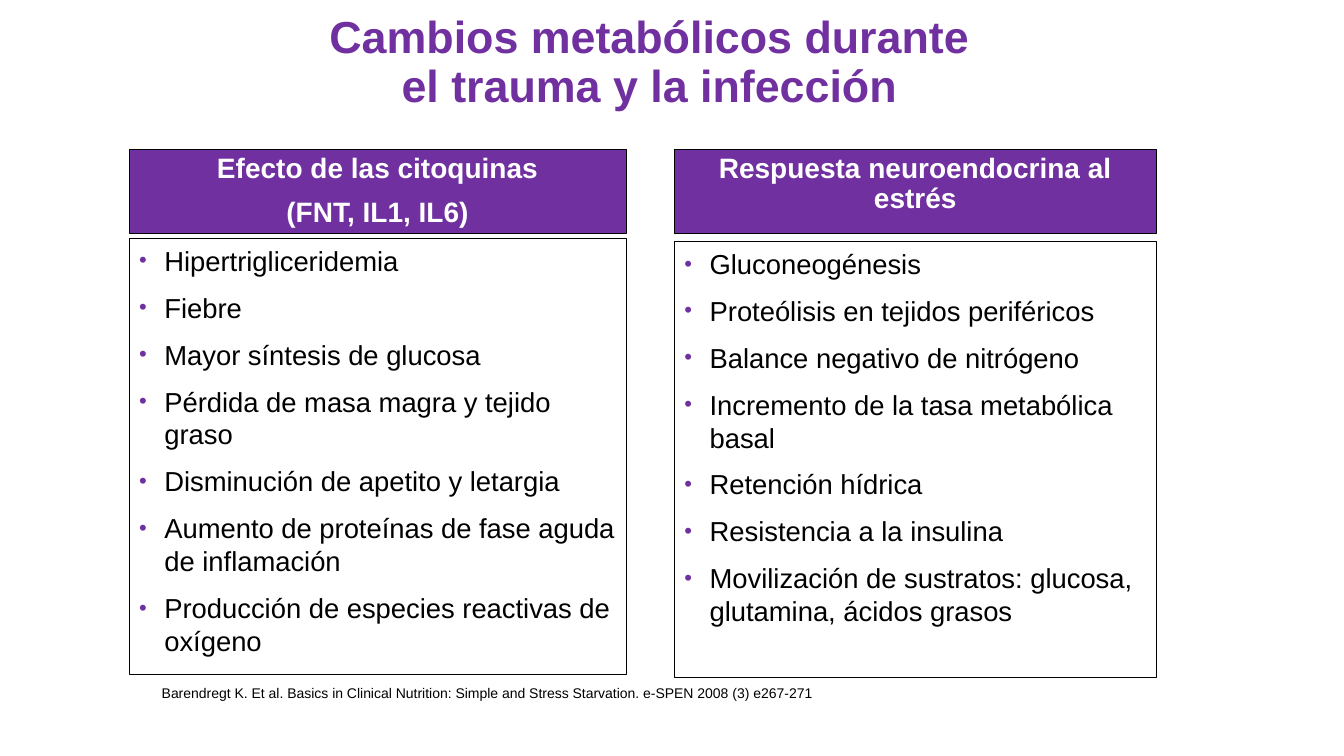
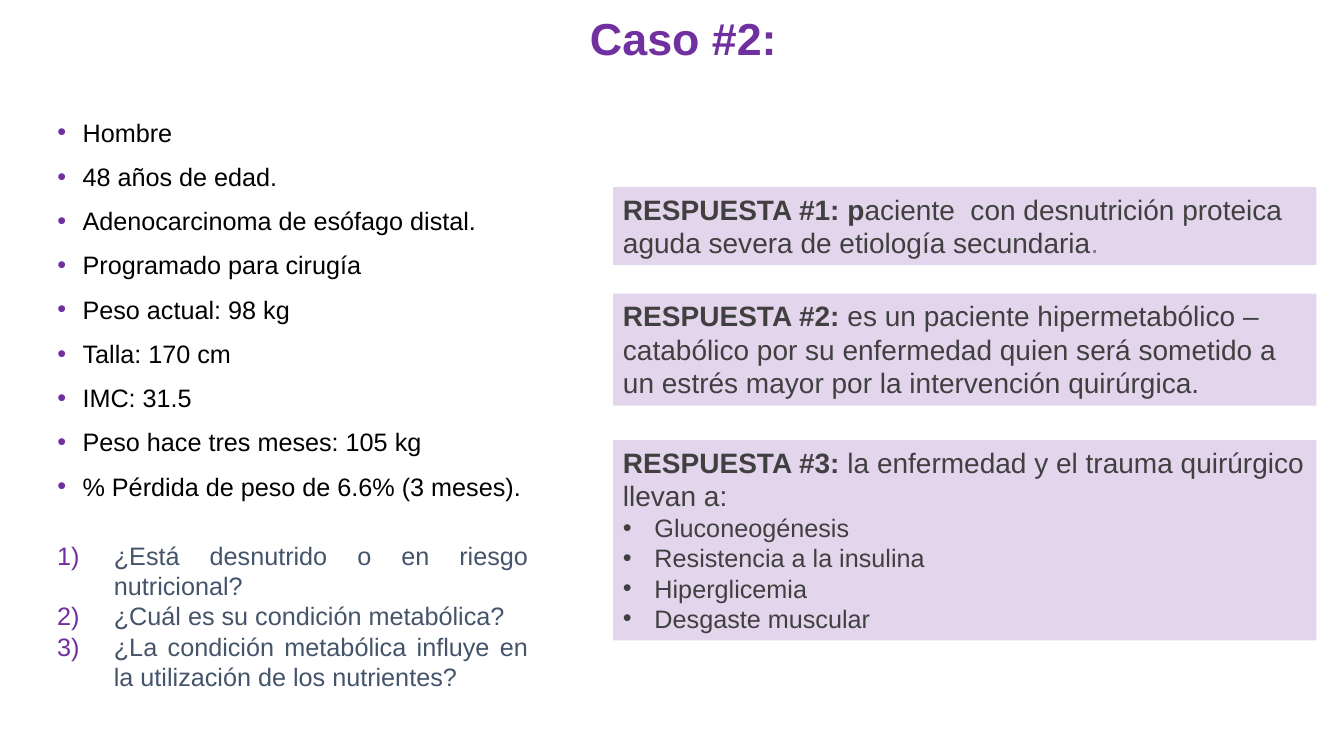
from dataclasses import dataclass

from pptx import Presentation
from pptx.dml.color import RGBColor as Rgb
from pptx.enum import shapes, text
from pptx.oxml import ns, xmlchemy as xc
from pptx.util import Pt

ALIGN = text.PP_ALIGN


@dataclass(frozen=True)
class Theme:
    font: str = "Arial"
    main: str = "7030A0"
    ink: str = "000000"
    paper: str = "FFFFFF"
    dark: str = "404040"
    gray: str = "808080"
    slate: str = "44546A"
    title: float = 32
    head: float = 20
    body: float = 19.6
    small: float = 18
    note: float = 10
    gap: float = 10
    tight: float = 0.9
    edge: float = 0.75
    alpha: int = 20


class Deck:
    """Holds the theme and the current slide."""

    def __init__(self, theme):
        self.theme = theme
        self.file = Presentation()
        self.file.slide_width, self.file.slide_height = Pt(960), Pt(540)
        self.slide = None

    # Basic parts
    def page(self, layout, title, box):
        self.slide = self.file.slides.add_slide(self.file.slide_layouts[layout])
        t = self.theme
        frame = self.frame(self.place(self.slide.shapes.title, box))
        self.para(frame, [(title, t.main, True)], t.title, ALIGN.CENTER, t.tight)

    def place(self, shape, box):
        shape.left, shape.top, shape.width, shape.height = map(Pt, box)
        return shape

    def frame(self, shape):
        frame = shape.text_frame
        frame.word_wrap = True
        frame.auto_size = text.MSO_AUTO_SIZE.NONE
        frame.vertical_anchor = text.MSO_ANCHOR.TOP
        return frame

    def para(self, frame, runs, size, align=ALIGN.LEFT, lead=1.0, gap=0):
        """Add one paragraph; each run is (words, colour, bold)."""
        first = not frame.paragraphs[0].runs
        para = frame.paragraphs[0] if first else frame.add_paragraph()
        para.alignment = align
        para.line_spacing = lead
        para.space_before = Pt(0 if first else gap)
        for words, color, bold in runs:
            run = para.add_run()
            run.text = words
            font = run.font
            font.name, font.size, font.bold = self.theme.font, Pt(size), bold
            font.color.rgb = Rgb.from_string(color)
        return para

    def mark(self, para, indent, color, scale=100, number=False):
        """Give a paragraph a hanging bullet or number."""
        props = para._p.get_or_add_pPr()
        props.set("marL", str(Pt(indent)))
        props.set("indent", str(-Pt(indent)))

        def add(tag, parent=props, **attrs):
            item = xc.OxmlElement(tag)
            for name, value in attrs.items():
                item.set(name, value)
            parent.append(item)
            return item

        add("a:srgbClr", add("a:buClr"), val=color)
        add("a:buSzPct", val=str(scale * 1000))
        add("a:buFont", typeface=self.theme.font)
        if number:
            add("a:buAutoNum", type="arabicParenR")
        else:
            add("a:buChar", char="•")

    def border(self, shape):
        shape.line.color.rgb = Rgb.from_string(self.theme.ink)
        shape.line.width = Pt(self.theme.edge)

    # Slide elements
    def header(self, slot, box, lines):
        t = self.theme
        shape = self.place(self.slide.placeholders[slot], box)
        shape.fill.solid()
        shape.fill.fore_color.rgb = Rgb.from_string(t.main)
        self.border(shape)
        frame = self.frame(shape)
        for line in lines:
            self.para(frame, [(line, t.paper, True)], t.head, ALIGN.CENTER, t.tight, t.gap)

    def bullets(self, slot, box, items, size, scale=100, edge=False):
        t = self.theme
        shape = self.place(self.slide.placeholders[slot], box)
        if edge:
            self.border(shape)
        frame = self.frame(shape)
        for item in items:
            para = self.para(frame, [(item, t.ink, False)], size, gap=t.gap)
            self.mark(para, 18, t.main, scale)

    def asks(self, box, items):
        t = self.theme
        frame = self.frame(self.slide.shapes.add_textbox(*map(Pt, box)))
        for item in items:
            para = self.para(frame, [(item, t.slate, False)], t.small, ALIGN.JUSTIFY)
            self.mark(para, 40.5, t.main, number=True)

    def note(self, box, words):
        t = self.theme
        frame = self.frame(self.slide.shapes.add_textbox(*map(Pt, box)))
        self.para(frame, [(words, t.ink, False)], t.note, ALIGN.CENTER)

    def answer(self, box, runs, items=()):
        t = self.theme
        shape = self.slide.shapes.add_shape(shapes.MSO_SHAPE.RECTANGLE, *map(Pt, box))
        shape.shadow.inherit = False
        shape.line.fill.background()
        shape.fill.solid()
        shape.fill.fore_color.rgb = Rgb.from_string(t.main)
        alpha = xc.OxmlElement("a:alpha")
        alpha.set("val", str(t.alpha * 1000))
        next(shape.element.spPr.iter(ns.qn("a:srgbClr"))).append(alpha)
        frame = self.frame(shape)
        self.para(frame, runs, t.head)
        for item in items:
            para = self.para(frame, [(item, t.dark, False)], t.small)
            self.mark(para, 22.5, t.dark)


def main():
    t = Theme()
    deck = Deck(t)

    # Slide 1: two columns, each a header over a list
    deck.page(4, "Cambios metabólicos durante el trauma y la infección",
              (214.5, 7.2, 499, 107.3))
    columns = [
        (92.2, 355, 170.6, ["Efecto de las citoquinas", "(FNT, IL1, IL6)"], [
            "Hipertrigliceridemia",
            "Fiebre",
            "Mayor síntesis de glucosa",
            "Pérdida de masa magra y tejido graso",
            "Disminución de apetito y letargia",
            "Aumento de proteínas de fase aguda de inflamación",
            "Producción de especies reactivas de oxígeno"]),
        (481.7, 344.2, 172.8, ["Respuesta neuroendocrina al estrés"], [
            "Gluconeogénesis",
            "Proteólisis en tejidos periféricos",
            "Balance negativo de nitrógeno",
            "Incremento de la tasa metabólica basal",
            "Retención hídrica",
            "Resistencia a la insulina",
            "Movilización de sustratos: glucosa, glutamina, ácidos grasos"]),
    ]
    for i, (left, width, top, lines, items) in enumerate(columns):
        deck.header(2 * i + 1, (left, 106.5, width, 60.5), lines)
        deck.bullets(2 * i + 2, (left, top, width, 311), items, t.body, 80, True)
    deck.note((78.5, 485.3, 538.5, 19.4),
              "Barendregt K. Et al. Basics in Clinical Nutrition: "
              "Simple and Stress Starvation. e-SPEN 2008 (3) e267-271")

    # Slide 2: case data and questions
    deck.page(1, "Caso #2:", (16.6, 8.6, 943.2, 46))
    deck.bullets(1, (33.8, 80, 364.3, 292.3), [
        "Hombre",
        "48 años de edad.",
        "Adenocarcinoma de esófago distal.",
        "Programado para cirugía",
        "Peso actual: 98 kg",
        "Talla: 170 cm",
        "IMC: 31.5",
        "Peso hace tres meses: 105 kg",
        "% Pérdida de peso de 6.6% (3 meses)."], t.small)
    deck.asks((33.8, 382.3, 350.6, 116.6), [
        "¿Está desnutrido o en riesgo nutricional?",
        "¿Cuál es su condición metabólica?",
        "¿La condición metabólica influye en la utilización de los nutrientes?"])

    # Slide 2: answers
    answers = [
        (133.7, 55.6, [
            ("RESPUESTA #1: p", t.dark, True),
            ("aciente  con desnutrición proteica aguda severa de etiología secundaria",
             t.dark, False),
            (".", t.gray, False)], []),
        (209.7, 80, [
            ("RESPUESTA #2: ", t.dark, True),
            ("es un paciente hipermetabólico – catabólico por su enfermedad quien será "
             "sometido a un estrés mayor por la intervención quirúrgica.",
             t.dark, False)], []),
        (314.4, 143, [
            ("RESPUESTA #3: ", t.dark, True),
            ("la enfermedad y el trauma quirúrgico llevan a:", t.dark, False)],
         ["Gluconeogénesis", "Resistencia a la insulina",
          "Hiperglicemia", "Desgaste muscular"]),
    ]
    for top, height, runs, items in answers:
        deck.answer((437.9, top, 502.5, height), runs, items)

    deck.file.save("out.pptx")


if __name__ == "__main__":
    main()
